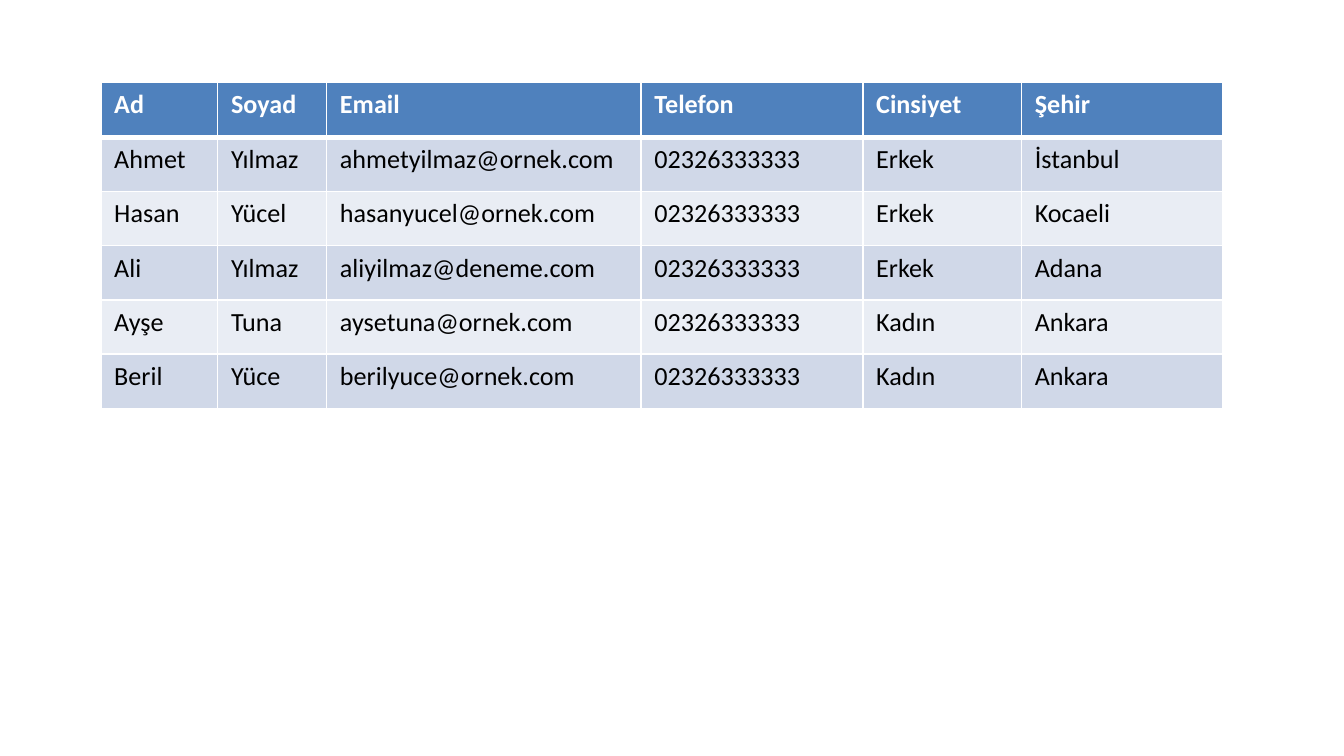
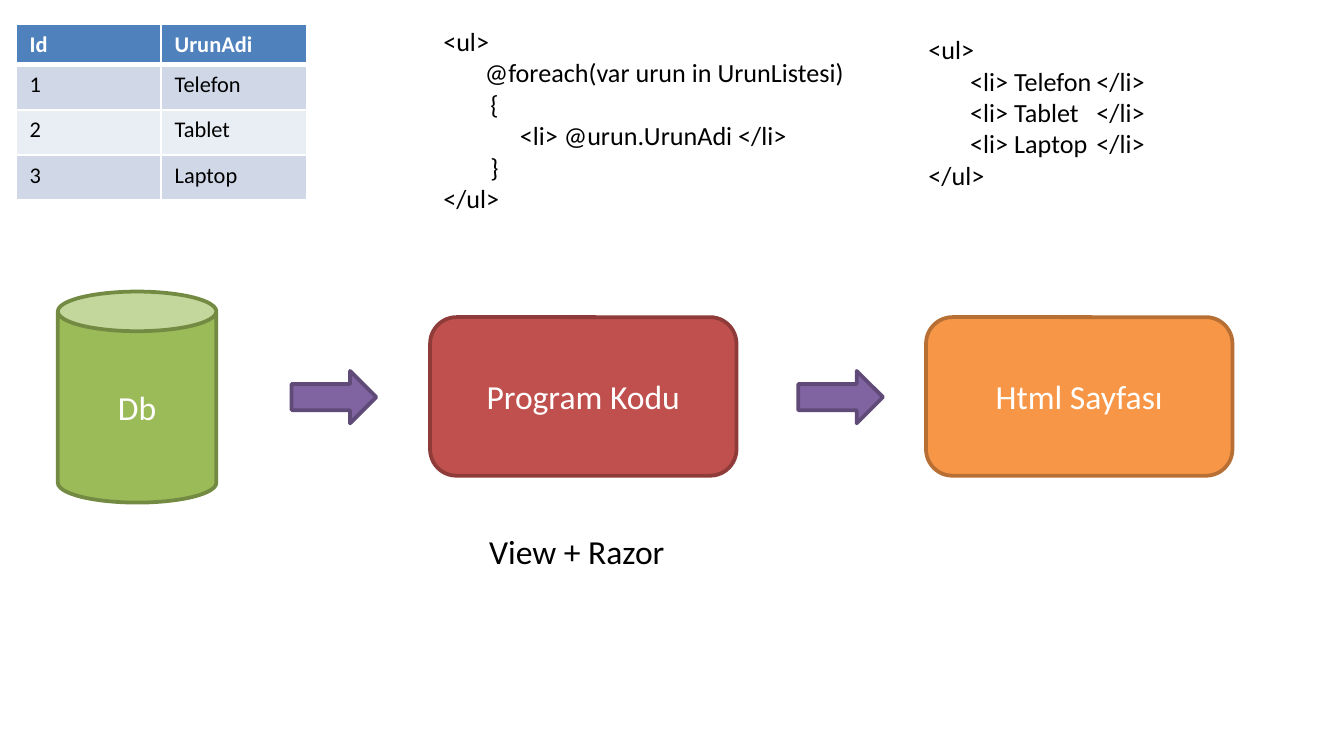
"""Build two slides: a contact table and a data-to-page flow."""
from typing import NamedTuple

import pptx
import pptx.dml.color
import pptx.enum.shapes
import pptx.enum.text
import pptx.oxml.ns
import pptx.util
from lxml import etree

Inches = pptx.util.Inches
Kind = pptx.enum.shapes.MSO_SHAPE
Align = pptx.enum.text.PP_ALIGN
Anchor = pptx.enum.text.MSO_ANCHOR

SLIDE_WIDTH = 10
SLIDE_HEIGHT = SLIDE_WIDTH * 9 / 16
FONT = "Calibri"
WHITE, BLACK = "FFFFFF", "000000"
HEADER = "4F81BD"
BANDS = ("D0D8E8", "E9EDF4")
ARROW, ARROW_LINE = "8064A2", "5F4A78"


class Box(NamedTuple):
    left: float
    top: float
    width: float
    height: float


class Node(NamedTuple):
    kind: Kind
    box: Box
    fill: str
    line: str
    text: str = ""


class Label(NamedTuple):
    box: Box
    text: str
    size: float
    tabs: tuple[float, ...] = ()


class Grid(NamedTuple):
    box: Box
    cols: tuple[float, ...]
    header_height: float
    size: float
    data: tuple[tuple[str, ...], ...]


PHONE = "02326333333"
CONTACTS = Grid(
    Box(0.75, 0.61, 8.35, 2.43), (0.87, 0.81, 2.34, 1.65, 1.18, 1.5), 0.41, 14,
    (
        ("Ad", "Soyad", "Email", "Telefon", "Cinsiyet", "Şehir"),
        ("Ahmet", "Yılmaz", "ahmetyilmaz@ornek.com", PHONE, "Erkek", "İstanbul"),
        ("Hasan", "Yücel", "hasanyucel@ornek.com", PHONE, "Erkek", "Kocaeli"),
        ("Ali", "Yılmaz", "aliyilmaz@deneme.com", PHONE, "Erkek", "Adana"),
        ("Ayşe", "Tuna", "aysetuna@ornek.com", PHONE, "Kadın", "Ankara"),
        ("Beril", "Yüce", "berilyuce@ornek.com", PHONE, "Kadın", "Ankara"),
    ),
)
PRODUCTS = Grid(
    Box(0.12, 0.18, 2.17, 1.31), (1.08, 1.08), 0.3, 12,
    (("Id", "UrunAdi"), ("1", "Telefon"), ("2", "Tablet"), ("3", "Laptop")),
)
NODES = (
    Node(Kind.CAN, Box(0.43, 2.17, 1.18, 1.57), "9BBB59", "738A42", "Db"),
    Node(Kind.ROUNDED_RECTANGLE, Box(3.2, 2.36, 2.28, 1.18), "C0504D", "8E3B39", "Program Kodu"),
    Node(Kind.ROUNDED_RECTANGLE, Box(6.89, 2.36, 2.28, 1.18), "F79646", "B76F34", "Html Sayfası"),
    *(Node(Kind.RIGHT_ARROW, Box(x, 2.76, 0.63, 0.39), ARROW, ARROW_LINE) for x in (2.17, 5.94)),
)
LABELS = (
    Label(Box(3.54, 3.9, 1.52, 0.4), "View + Razor", 18),
    Label(
        Box(3.2, 0.14, 3.23, 1.51),
        "<ul>\n\t@foreach(var urun in UrunListesi)\n\t\t{\n"
        "\t\t\t<li> @urun.UrunAdi </li>\n\t\t}\n</ul>",
        14, (0.31, 0.35, 0.57),
    ),
    Label(
        Box(6.81, 0.2, 1.89, 1.28),
        "<ul>\n\t<li> Telefon\t</li>\n\t<li> Tablet\t</li>\n\t<li> Laptop\t</li>\n</ul>",
        14, (0.31, 1.25),
    ),
)


def rgb(value: str) -> pptx.dml.color.RGBColor:
    """Turn a hex string into a colour."""
    return pptx.dml.color.RGBColor.from_string(value)


def sub(parent, tag: str, **attrs: str):
    """Append a DrawingML element."""
    return etree.SubElement(parent, pptx.oxml.ns.qn(f"a:{tag}"), attrs)


def write(tf, text: str, *, size: float, color: str = BLACK, bold: bool = False,
          align: Align = Align.LEFT, tabs: tuple[float, ...] = ()) -> None:
    """Fill a text frame, one paragraph for each line."""
    for i, line in enumerate(text.split("\n")):
        p = tf.add_paragraph() if i else tf.paragraphs[0]
        p.alignment = align
        if tabs:
            stops = sub(p._p.get_or_add_pPr(), "tabLst")
            for pos in tabs:
                sub(stops, "tab", pos=str(Inches(pos)), algn="l")
        r = p.add_run()
        r.text = line
        r.font.name = FONT
        r.font.size = pptx.util.Pt(size)
        r.font.bold = bold
        r.font.color.rgb = rgb(color)


def add_node(slide, node: Node) -> None:
    """Draw a filled shape with centred text."""
    sp = slide.shapes.add_shape(node.kind, *map(Inches, node.box))
    sp.shadow.inherit = False
    sp.fill.solid()
    sp.fill.fore_color.rgb = rgb(node.fill)
    sp.line.color.rgb = rgb(node.line)
    sp.line.width = pptx.util.Pt(2)
    if node.text:
        sp.text_frame.vertical_anchor = Anchor.MIDDLE
        write(sp.text_frame, node.text, size=18, color=WHITE, align=Align.CENTER)


def add_label(slide, label: Label) -> None:
    """Draw a plain text box."""
    tf = slide.shapes.add_textbox(*map(Inches, label.box)).text_frame
    tf.word_wrap = True
    write(tf, label.text, size=label.size, tabs=label.tabs)


def set_borders(cell, row: int) -> None:
    """Give a cell white borders, thick below the header."""
    thick = {0: "lnB", 1: "lnT"}.get(row)
    for side in ("lnL", "lnR", "lnT", "lnB"):
        width = pptx.util.Pt(3 if side == thick else 1)
        ln = sub(cell._tc.get_or_add_tcPr(), side, w=str(width))
        sub(sub(ln, "solidFill"), "srgbClr", val=WHITE)


def add_grid(slide, grid: Grid) -> None:
    """Draw a banded table with a header row."""
    body_rows = len(grid.data) - 1
    body_height = (grid.box.height - grid.header_height) / body_rows
    table = slide.shapes.add_table(
        body_rows + 1, len(grid.cols), *map(Inches, grid.box)).table
    for col, width in zip(table.columns, grid.cols):
        col.width = Inches(width)
    for i, (row, values) in enumerate(zip(table.rows, grid.data)):
        head = i == 0
        row.height = Inches(grid.header_height if head else body_height)
        for cell, value in zip(row.cells, values):
            set_borders(cell, i)
            cell.fill.solid()
            cell.fill.fore_color.rgb = rgb(HEADER if head else BANDS[(i - 1) % 2])
            write(cell.text_frame, value, size=grid.size,
                  color=WHITE if head else BLACK, bold=head)


def main() -> None:
    """Build and save the presentation."""
    prs = pptx.Presentation()
    prs.slide_width, prs.slide_height = Inches(SLIDE_WIDTH), Inches(SLIDE_HEIGHT)
    contacts, flow = (prs.slides.add_slide(prs.slide_layouts[6]) for _ in range(2))
    add_grid(contacts, CONTACTS)
    for node in NODES:
        add_node(flow, node)
    for label in LABELS:
        add_label(flow, label)
    add_grid(flow, PRODUCTS)
    prs.save("out.pptx")


main()
